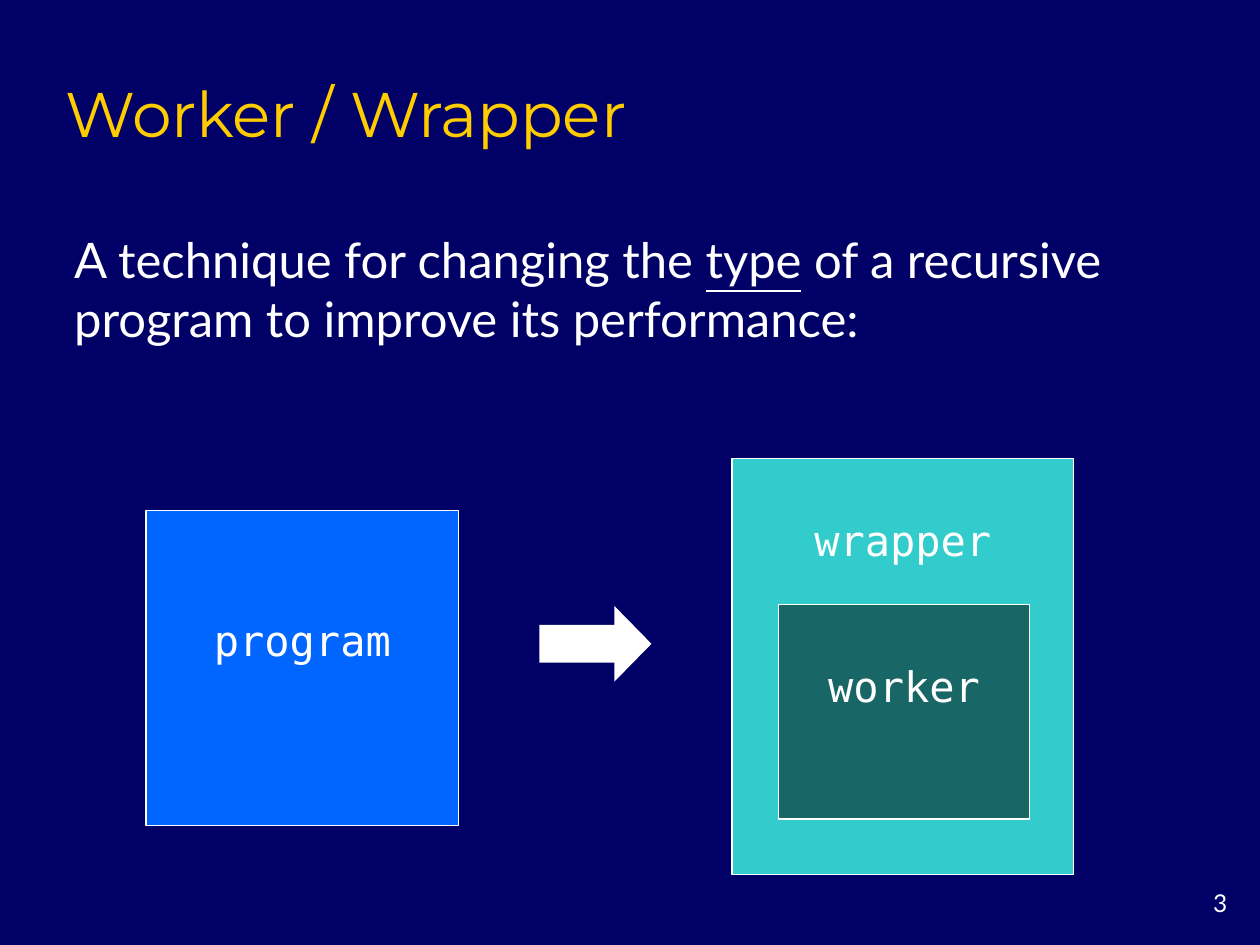
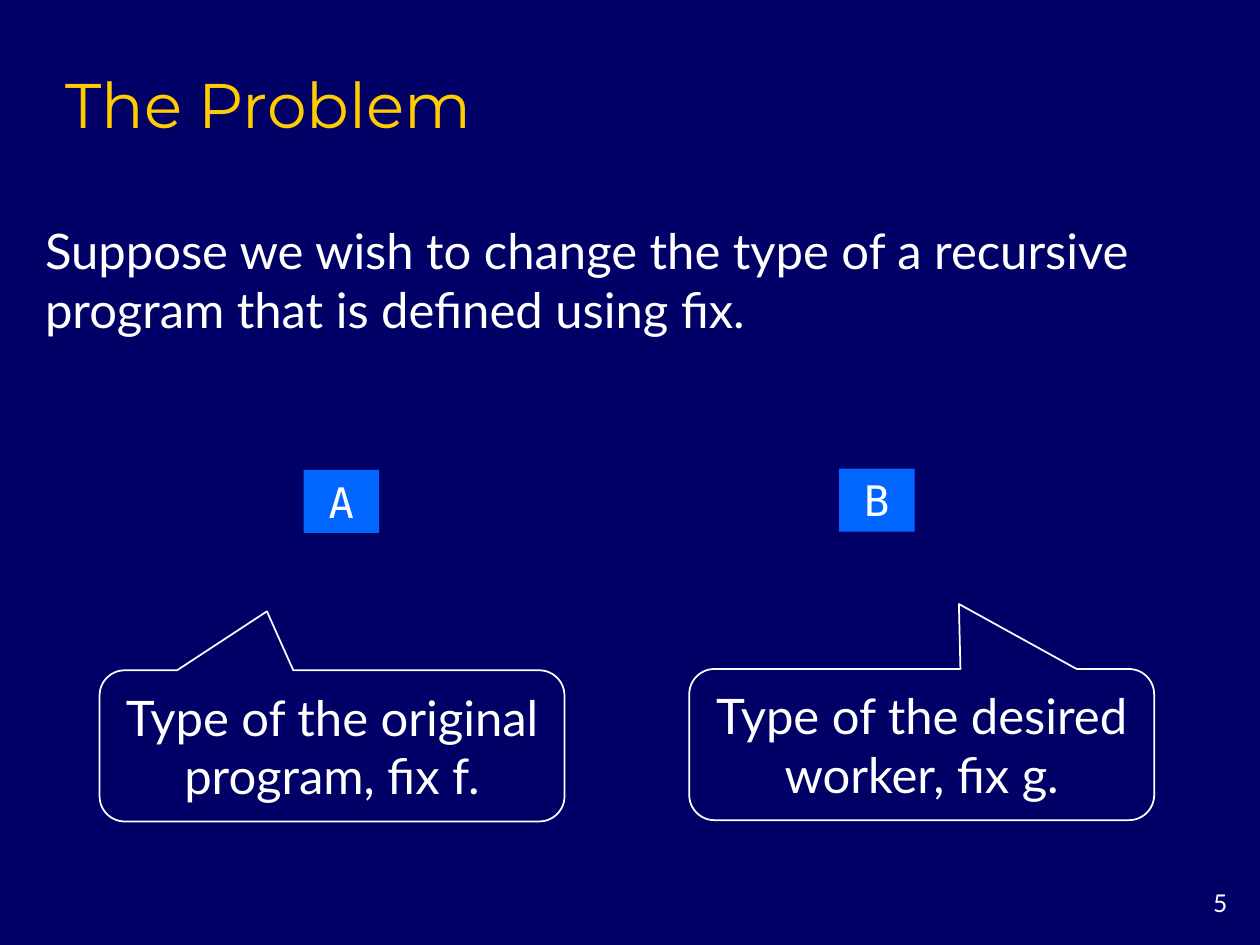
from pptx import Presentation
from pptx.dml.color import RGBColor
from pptx.enum.shapes import MSO_SHAPE as Shape
from pptx.enum.text import MSO_ANCHOR as Anchor, MSO_AUTO_SIZE as Fit, PP_ALIGN as Align
from pptx.util import Inches, Pt

# Shared colours and fonts
NAVY = RGBColor(0x00, 0x00, 0x66)
GOLD = RGBColor(0xFF, 0xCC, 0x00)
WHITE = RGBColor(0xFF, 0xFF, 0xFF)
BLUE = RGBColor(0x00, 0x66, 0xFF)
AQUA = RGBColor(0x33, 0xCC, 0xCC)
TEAL = RGBColor(0x19, 0x66, 0x66)
HEAD, BODY, CODE = "Montserrat", "Lato", "DejaVu Sans Mono"
LINE = 0.39  # height of one line of code text


def write(frame, paras, size, font=BODY, color=WHITE, align=Align.LEFT,
          anchor=Anchor.TOP, top=0.05):
    """Fill a frame; each paragraph is a list of (text, underlined) runs."""
    frame.word_wrap = True
    frame.auto_size = Fit.NONE
    frame.vertical_anchor = anchor
    frame.margin_left = frame.margin_right = Inches(0.1)
    frame.margin_top, frame.margin_bottom = Inches(top), Inches(0.05)
    for i, runs in enumerate(paras):
        para = frame.add_paragraph() if i else frame.paragraphs[0]
        para.alignment = align
        for text, under in runs:
            run = para.add_run()
            run.text = text
            run.font.name = font
            run.font.size = Pt(size)
            run.font.color.rgb = color
            if under:
                run.font.underline = True


def add_text(slide, box, paras, size, **style):
    area = slide.shapes.add_textbox(*map(Inches, box))
    write(area.text_frame, paras, size, **style)


def add_box(shapes, kind, box, fill=None, line=None):
    item = shapes.add_shape(kind, *map(Inches, box))
    item.shadow.inherit = False
    if fill is None:
        item.fill.background()
    else:
        item.fill.solid()
        item.fill.fore_color.rgb = fill
    if line is None:
        item.line.fill.background()
    else:
        item.line.color.rgb = WHITE
        item.line.width = Pt(line)
    return item


def add_page(deck, title, box, number):
    """Start a slide with its title and page number."""
    slide = deck.slides.add_slide(deck.slide_layouts[5])
    head = slide.shapes.title
    head.left, head.top, head.width, head.height = map(Inches, box)
    write(head.text_frame, [[(title, False)]], 36, HEAD, GOLD, anchor=Anchor.BOTTOM)
    add_text(slide, (9.17, 7, 0.67, 0.33), [[(number, False)]], 14, align=Align.RIGHT)
    return slide


def add_block(shapes, box, name, fill, skip):
    """A code block whose name stands a number of lines below its top."""
    block = add_box(shapes, Shape.RECTANGLE, box, fill, 0.75)
    write(block.text_frame, [[(name, False)]], 24, CODE, align=Align.CENTER,
          top=0.05 + skip * LINE)


def add_wrapper(slide, x, y, w, h):
    """The wrapper with the worker inside it."""
    parts = slide.shapes.add_group_shape().shapes
    add_block(parts, (x, y, w, h), "wrapper", AQUA, 1)
    add_block(parts, (x + 0.37, y + 1.16, w - 0.72, h - 1.6), "worker", TEAL, 1)


def add_type(slide, x, y, name):
    """A small tag that names a type."""
    tag = add_box(slide.shapes, Shape.RECTANGLE, (x, y, 0.6, 0.5), BLUE)
    write(tag.text_frame, [[(name, False)]], 24, CODE, align=Align.CENTER,
          anchor=Anchor.MIDDLE)


def add_note(slide, x, y, text, tip):
    """A callout whose tip points up at a type tag."""
    note = add_box(slide.shapes, Shape.ROUNDED_RECTANGULAR_CALLOUT,
                   (x, y, 3.69, 1.2), line=1)
    note.adjustments[0], note.adjustments[1] = tip
    write(note.text_frame, [[(text, False)]], 28, align=Align.CENTER,
          anchor=Anchor.MIDDLE)


def add_method(deck):
    slide = add_page(deck, "Worker / Wrapper", (0.42, 0.49, 8.5, 0.75), "3")
    add_text(slide, (0.49, 1.77, 8.85, 1.04), [[
        ("A technique for changing the ", False),
        ("type", True),
        (" of a recursive program to improve its performance:", False),
    ]], 28)
    # Program, arrow, wrapper
    add_block(slide.shapes, (1.16, 4.05, 2.48, 2.5), "program", BLUE, 2)
    arrow = add_box(slide.shapes, Shape.RIGHT_ARROW, (4.28, 4.81, 0.89, 0.6), WHITE)
    arrow.adjustments[1] = 0.49
    add_wrapper(slide, 5.81, 3.64, 2.71, 3.3)


def add_problem(deck):
    slide = add_page(deck, "The Problem", (0.42, 0.42, 9.19, 0.75), "5")
    add_text(slide, (0.26, 1.7, 9.4, 1.04), [
        [("Suppose we wish to change the type of a recursive", False)],
        [("program that is defined using fix.", False)],
    ], 28)
    # Types and their callouts
    add_type(slide, 2.41, 3.73, "A")
    add_note(slide, 0.79, 5.32, "Type of the original program, fix f.", (-0.14, -0.89))
    add_type(slide, 6.66, 3.72, "B")
    add_note(slide, 5.47, 5.31, "Type of the desired worker, fix g.", (0.08, -0.93))


def main():
    deck = Presentation()
    deck.slide_width, deck.slide_height = Inches(10), Inches(7.5)
    back = deck.slide_master.background.fill
    back.solid()
    back.fore_color.rgb = NAVY
    add_method(deck)
    add_problem(deck)
    deck.save("out.pptx")


if __name__ == "__main__":
    main()
